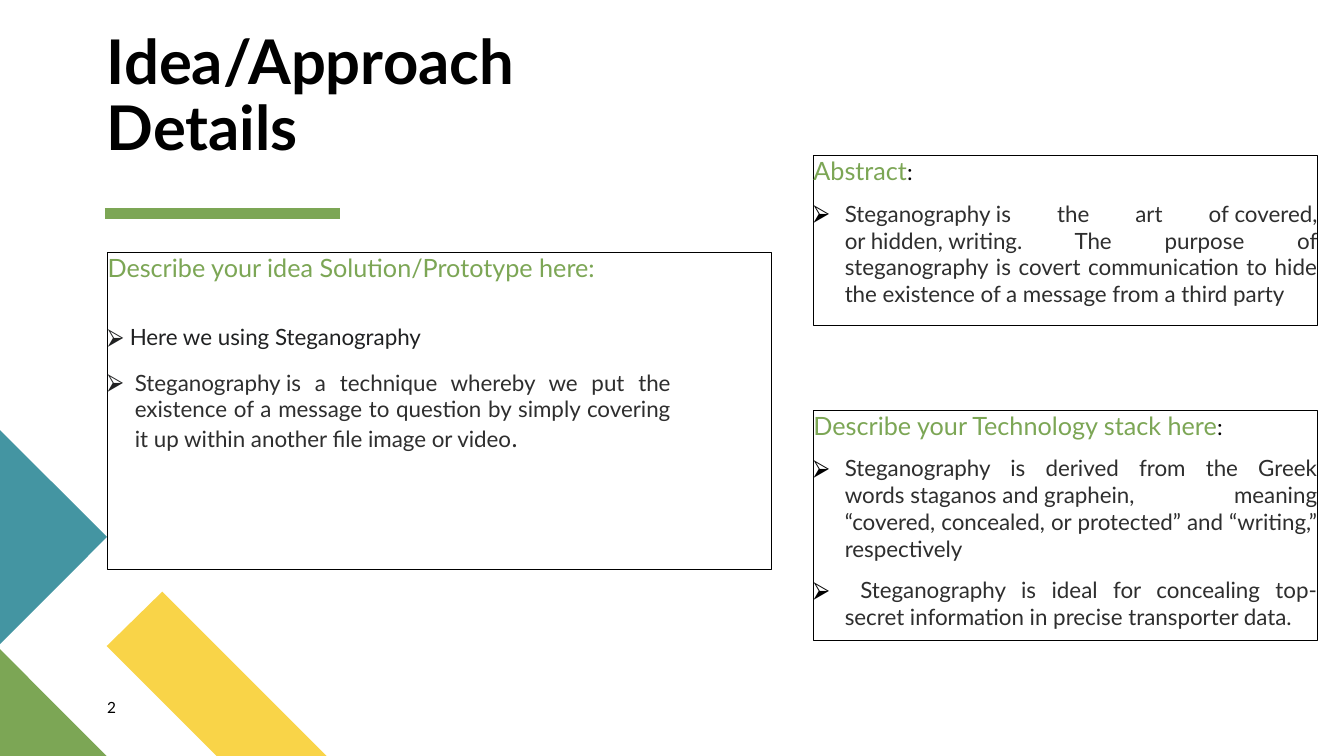
from lxml import etree
from pptx import Presentation
from pptx import util as u
from pptx.dml.color import RGBColor
from pptx.enum import text
from pptx.oxml import ns

BLACK, GREEN, TEAL, YELLOW = "000000", "7CA655", "4495A2", "F9D448"
DARK, INK = "2E2E2E", "202122"
TIE, HARD_SPACE = "~", chr(160)


def rgb(value):
    return RGBColor.from_string(value)


def add_xml(parent, tag, **attrs):
    return etree.SubElement(parent, ns.qn(tag), attrs)


class Deck:
    font = "Lato"
    frame_format = dict(margin_left=0, margin_right=0, margin_top=0,
                        margin_bottom=0, word_wrap=True,
                        auto_size=text.MSO_AUTO_SIZE.NONE)

    def __init__(self, width, height):
        self.prs = Presentation()
        self.prs.slide_width, self.prs.slide_height = u.Cm(width), u.Cm(height)
        self.s = self.prs.slides.add_slide(self.prs.slide_layouts[1])

    def polygon(self, points, color):
        points = [(u.Cm(x), u.Cm(y)) for x, y in points]
        builder = self.s.shapes.build_freeform(*points[0])
        builder.add_line_segments(points[1:], close=True)
        sp = builder.convert_to_shape()
        sp.shadow.inherit = False
        sp.fill.solid()
        sp.fill.fore_color.rgb = rgb(color)
        sp.line.fill.background()

    def rule(self, x1, x2, y, color, width):
        line = self.s.shapes.add_connector(1, u.Cm(x1), u.Cm(y), u.Cm(x2), u.Cm(y))
        line.line.color.rgb = rgb(color)
        line.line.width = u.Pt(width)
        add_xml(line._element.spPr, "a:effectLst")

    def box(self, place, sp=None, border=False, anchor=text.MSO_ANCHOR.TOP):
        place = [u.Cm(v) for v in place]
        sp = sp or self.s.shapes.add_textbox(*place)
        for name, value in zip(("left", "top", "width", "height"), place):
            setattr(sp, name, value)
        if border:
            sp.line.color.rgb = rgb(BLACK)
            sp.line.width = u.Pt(0.75)
        tf = sp.text_frame
        for name, value in dict(self.frame_format, vertical_anchor=anchor).items():
            setattr(tf, name, value)
        return tf

    def para(self, tf, runs, bullet=None, indent=0, **fmt):
        p = tf.paragraphs[0] if not tf.paragraphs[0].runs else tf.add_paragraph()
        fmt = dict(dict(alignment=text.PP_ALIGN.LEFT, space_before=u.Pt(0)), **fmt)
        for name, value in fmt.items():
            setattr(p, name, value)
        pPr = p._p.get_or_add_pPr()
        pPr.set("marL", str(u.Cm(indent)))
        pPr.set("indent", str(u.Cm(-indent)))
        if bullet:
            add_xml(add_xml(pPr, "a:buClr"), "a:srgbClr", val=bullet)
            add_xml(pPr, "a:buFont", typeface="Arial")
            add_xml(pPr, "a:buChar", char="⮚")
        else:
            add_xml(pPr, "a:buNone")
        for words, size, color, *bold in runs:
            r = p.add_run()
            r.text = words.replace(TIE, HARD_SPACE)
            r.font.color.rgb = rgb(color)
            for name, value in dict(name=self.font, size=u.Pt(size), bold=bool(bold)).items():
                setattr(r.font, name, value)

    def panel(self, place, heading, items):
        tf = self.box(place, border=True)
        self.para(tf, [(heading, 18, GREEN), (":", 16, BLACK)])
        for item in items:
            self.para(tf, [(item, 16, DARK)], bullet=BLACK, indent=0.79,
                      space_before=u.Pt(10), alignment=text.PP_ALIGN.JUSTIFY)


def main():
    deck = Deck(33.87, 19.05)
    deck.polygon([(8.23, 19.05), (5.46, 19.05), (2.69, 16.28), (4.09, 14.91)], YELLOW)
    deck.polygon([(2.69, 19.05), (0, 19.05), (0, 16.36)], GREEN)
    deck.polygon([(0, 10.84), (2.7, 13.53), (0, 16.23)], TEAL)
    deck.rule(2.64, 8.57, 5.39, GREEN, 8)

    title, body = deck.s.placeholders
    tf = deck.box((2.69, 2.44, 15.2, 1.7), title, anchor=text.MSO_ANCHOR.BOTTOM)
    deck.para(tf, [("Idea/Approach Details", 44, BLACK, True)], line_spacing=0.9)

    tf = deck.box((2.71, 6.36, 16.74, 8), body, border=True)
    deck.para(tf, [("Describe your idea Solution/Prototype here:", 18, GREEN)])
    deck.para(tf, [("Here we using Steganography", 16, INK)], bullet=INK,
              indent=0.56, space_before=u.Pt(29))

    tf = deck.box((2.71, 7.2, 14.2, 6.3), anchor=text.MSO_ANCHOR.MIDDLE)
    deck.para(tf, [("Steganography~is a technique whereby we put the existence of a message "
                    "to question by simply covering it up within another file image or video",
                    16, DARK), (".", 18, DARK)], bullet=INK, indent=0.69,
              space_before=u.Pt(10), alignment=text.PP_ALIGN.JUSTIFY)

    deck.para(deck.box((2.7, 17.58, 1.45, 0.69)), [("2", 11, BLACK)])

    deck.panel((20.5, 10.34, 12.7, 5.81), "Describe your Technology stack here", [
        "Steganography is derived from the Greek words~staganos~and~graphein, meaning "
        "“covered, concealed, or protected” and “writing,” respectively",
        " Steganography is ideal for concealing top-secret information in precise "
        "transporter data."])
    deck.panel((20.5, 3.92, 12.7, 4.28), "Abstract", [
        "Steganography~is the art of~covered, or~hidden,~writing. The purpose of "
        "steganography is covert communication to hide the existence of a message "
        "from a third party"])
    deck.prs.save("out.pptx")


if __name__ == "__main__":
    main()
